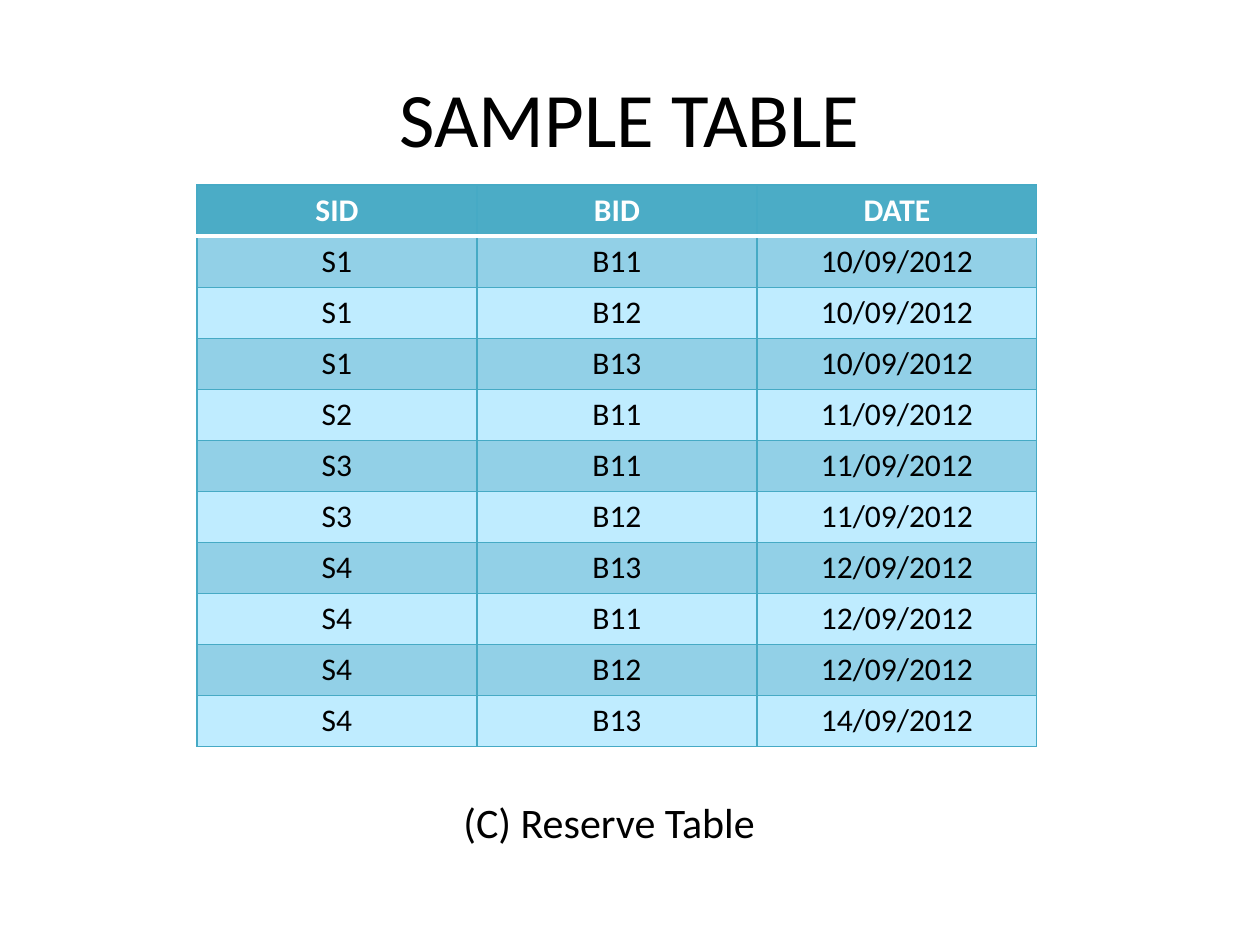
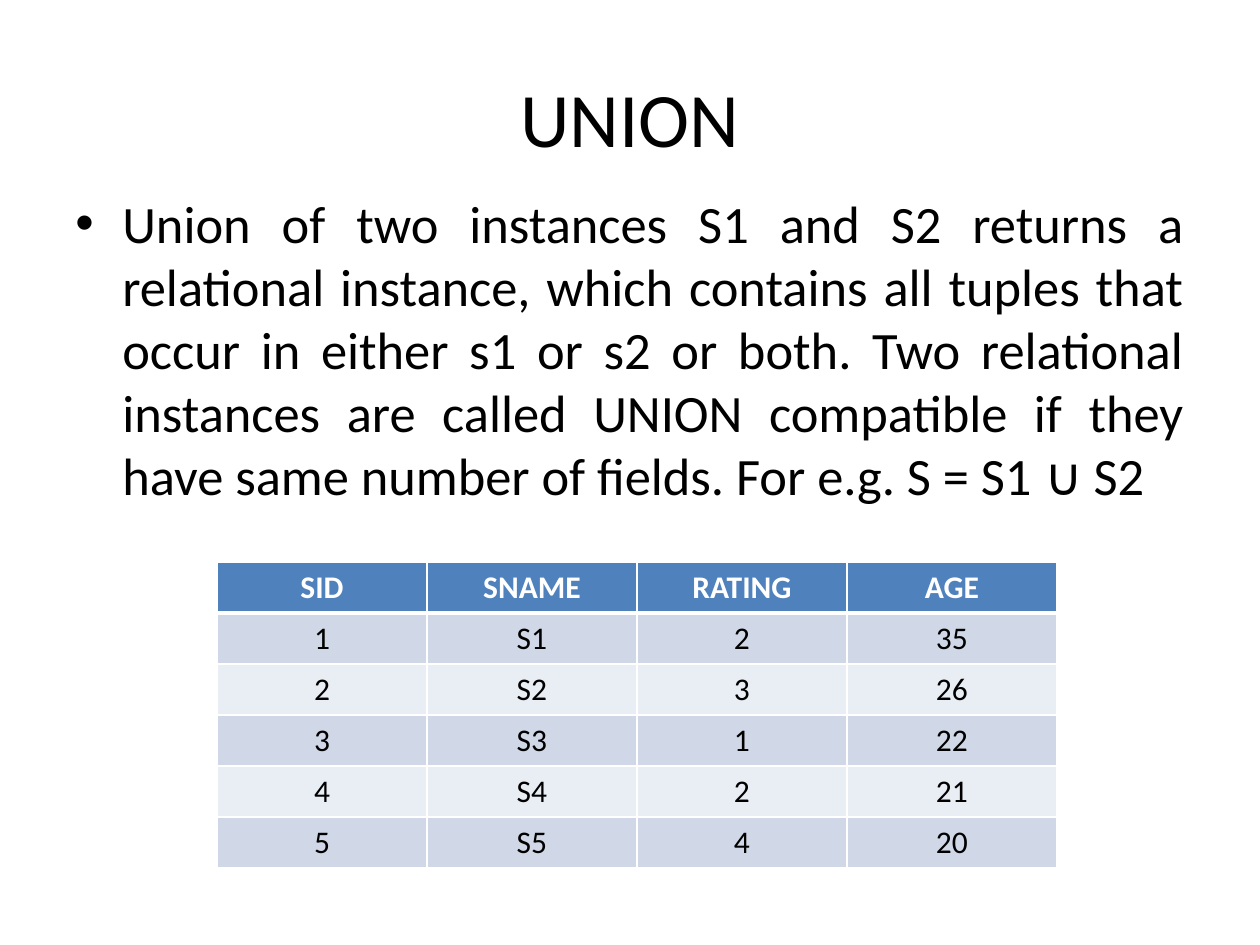
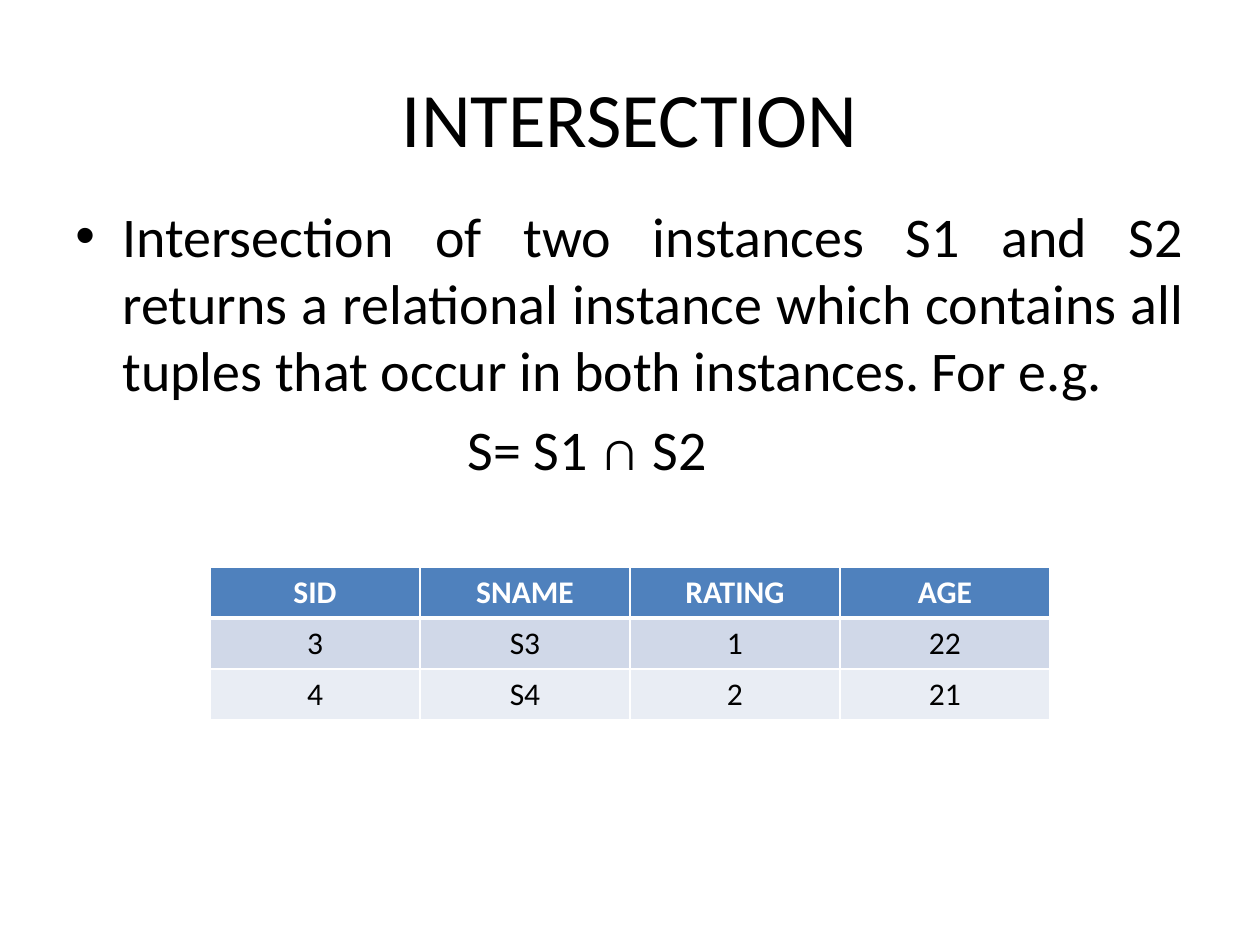
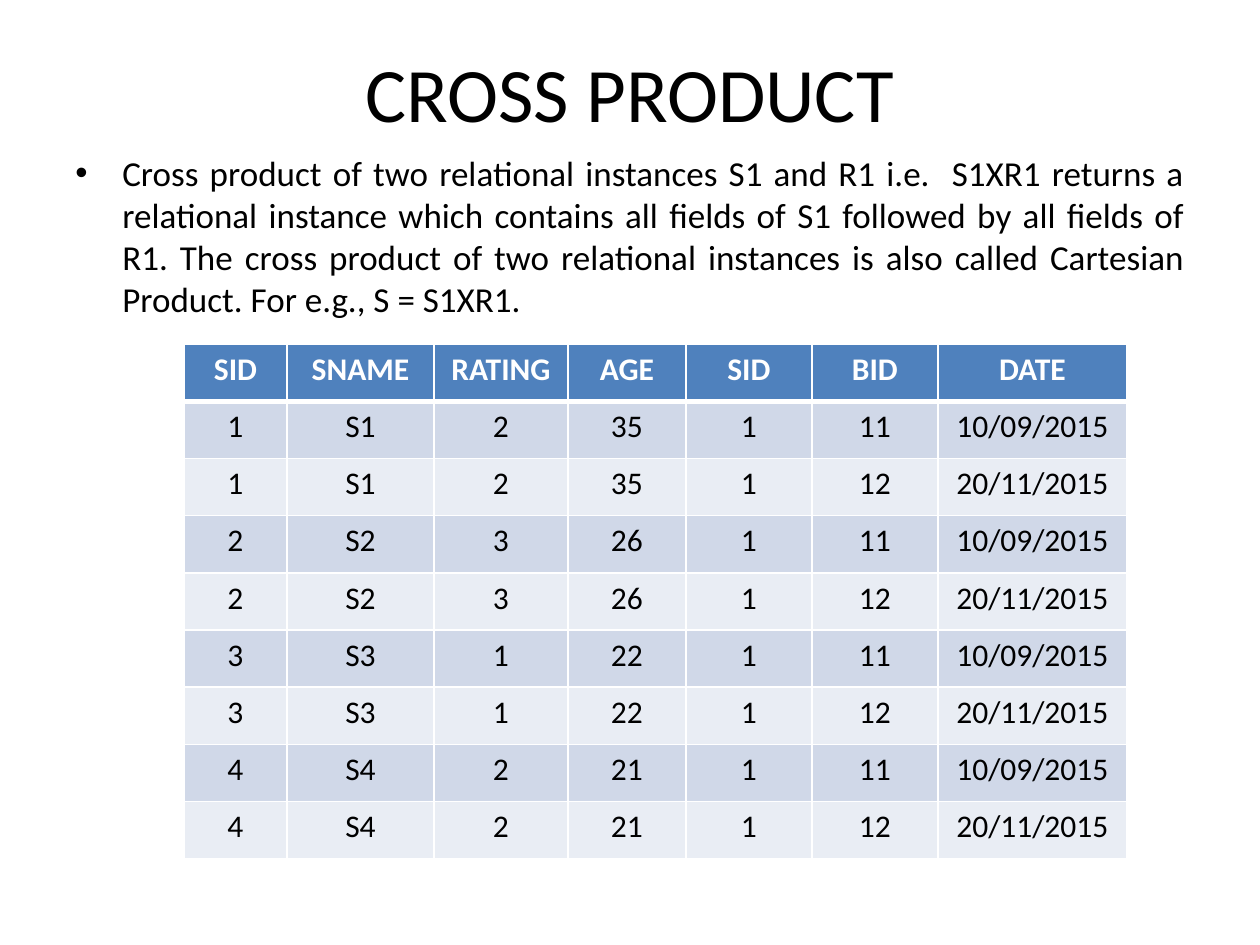
from dataclasses import dataclass
from itertools import product

from lxml.etree import SubElement
from pptx import Presentation
from pptx.dml.color import RGBColor as RGB
from pptx.enum.text import MSO_ANCHOR as Anchor, PP_ALIGN as Align
from pptx.oxml import parse_xml
from pptx.oxml.ns import nsdecls, qn
from pptx.util import Emu, Pt


@dataclass(frozen=True)
class TableLook:
    header: str
    bands: tuple
    border: str
    border_pt: float
    rule_pt: float  # white line under the header


@dataclass(frozen=True)
class Theme:
    font: str = "Calibri"
    bullet_font: str = "Arial"
    ink: str = "000000"
    white: str = "FFFFFF"
    title_pt: int = 44
    caption_pt: int = 24
    cell_pt: int = 18
    aqua: TableLook = TableLook("4BACC6", ("92D0E7", "BFECFF"), "46AAC5", 0.75, 2)
    blue: TableLook = TableLook("4F81BD", ("D0D8E8", "E9EDF4"), "FFFFFF", 1, 3)


THEME = Theme()
PX = 914400 / 126
PAGE = (1260, 945)
LEFT, WIDTH = 63, 1134
TITLE_TOP, TITLE_HEIGHT = 38, 157
BULLET_INDENT = 47
FORMULA_INDENT = 392

SAILOR_HEADS = ["SID", "SNAME", "RATING", "AGE"]
SAILORS = [
    ["1", "S1", "2", "35"],
    ["2", "S2", "3", "26"],
    ["3", "S3", "1", "22"],
    ["4", "S4", "2", "21"],
    ["5", "S5", "4", "20"],
]
BOOKINGS = [["1", "11", "10/09/2015"], ["1", "12", "20/11/2015"]]
RESERVES = [
    ["S1", "B11", "10/09/2012"],
    ["S1", "B12", "10/09/2012"],
    ["S1", "B13", "10/09/2012"],
    ["S2", "B11", "11/09/2012"],
    ["S3", "B11", "11/09/2012"],
    ["S3", "B12", "11/09/2012"],
    ["S4", "B13", "12/09/2012"],
    ["S4", "B11", "12/09/2012"],
    ["S4", "B12", "12/09/2012"],
    ["S4", "B13", "14/09/2012"],
]

# Body boxes are (top, height, type size); tables are (left, top, column widths, height).
SLIDES = [
    {
        "title": "SAMPLE TABLE",
        "table": (197, 185, [280] * 3, 562),
        "look": THEME.aqua,
        "rows": [["SID", "BID", "DATE"], *RESERVES],
        "caption": "(C) Reserve Table",
    },
    {
        "title": "UNION",
        "body": (185, 659, 30),
        "bullet": "Union of two instances S1 and S2 returns a relational instance, "
                  "which contains all tuples that occur in either s1 or s2 or both. "
                  "Two relational instances are called UNION compatible if they have "
                  "same number of fields. For e.g. S = S1 ∪ S2",
        "table": (217, 562, [210] * 4, 306),
        "rows": [SAILOR_HEADS, *SAILORS],
    },
    {
        "title": "INTERSECTION",
        "body": (195, 649, 32),
        "bullet": "Intersection of two instances S1 and S2 returns a relational "
                  "instance which contains all tuples that occur in both instances. "
                  "For e.g.",
        "formula": "S= S1 ∩ S2",
        "table": (210, 567, [210] * 4, 153),
        "rows": [SAILOR_HEADS, *SAILORS[2:4]],
    },
    {
        "title": "CROSS PRODUCT",
        "title_height": 107,
        "body": (145, 189, 20),
        "bullet": "Cross product of two relational instances S1 and R1 i.e.  S1XR1 "
                  "returns a relational instance which contains all fields of S1 "
                  "followed by all fields of R1. The cross product of two relational "
                  "instances is also called Cartesian Product. For e.g., S = S1XR1.",
        "table": (184, 344, [103, 147, 134, 118, 126, 126, 189], 515),
        "rows": [SAILOR_HEADS + ["SID", "BID", "DATE"],
                 *(sailor + booking for sailor, booking in product(SAILORS[:4], BOOKINGS))],
    },
]


def px(*lengths):
    return [Emu(round(length * PX)) for length in lengths]


def write(paragraph, text, size, color=THEME.ink, bold=False, **layout):
    paragraph.text = text
    for key, value in layout.items():
        setattr(paragraph, key, value)
    font = paragraph.font
    for key, value in {"name": THEME.font, "size": Pt(size), "bold": bold}.items():
        setattr(font, key, value)
    font.color.rgb = RGB.from_string(color)


def add_box(slide, left, top, width, height, anchor=Anchor.TOP):
    frame = slide.shapes.add_textbox(*px(left, top, width, height)).text_frame
    frame.word_wrap = True
    frame.vertical_anchor = anchor
    return frame


def indent(paragraph, margin, first_line=0):
    properties = paragraph._p.get_or_add_pPr()
    for key, length in {"marL": margin, "indent": first_line}.items():
        properties.set(key, str(px(length)[0]))
    return properties


def add_body(slide, top, height, size, bullet, formula=None):
    frame = add_box(slide, LEFT, top, WIDTH, height)
    statement = frame.paragraphs[0]
    properties = indent(statement, BULLET_INDENT, -BULLET_INDENT)
    SubElement(properties, qn("a:buFont"), typeface=THEME.bullet_font)
    SubElement(properties, qn("a:buChar"), char="•")
    write(statement, bullet, size, alignment=Align.JUSTIFY)
    if formula:
        example = frame.add_paragraph()
        indent(example, FORMULA_INDENT)
        write(example, formula, size, space_before=Pt(size * 0.2))


def set_borders(cell, row, look):
    plain, rule = (look.border, look.border_pt), (THEME.white, look.rule_pt)
    sides = {"L": plain, "R": plain,
             "T": rule if row == 1 else plain,
             "B": rule if row == 0 else plain}
    properties = cell._tc.get_or_add_tcPr()
    for position, (side, (color, width)) in enumerate(sides.items()):
        properties.insert(position, parse_xml(
            f'<a:ln{side} {nsdecls("a")} w="{Pt(width)}"><a:solidFill>'
            f'<a:srgbClr val="{color}"/></a:solidFill></a:ln{side}>'))


def add_grid(slide, left, top, widths, height, rows, look):
    grid = slide.shapes.add_table(
        len(rows), len(widths), *px(left, top, sum(widths), height)).table
    grid.horz_banding = False
    for column, width in zip(grid.columns, px(*widths)):
        column.width = width
    for row, values in enumerate(rows):
        is_header = row == 0
        fill = look.header if is_header else look.bands[(row - 1) % 2]
        ink = THEME.white if is_header else THEME.ink
        for column, value in enumerate(values):
            cell = grid.cell(row, column)
            cell.fill.solid()
            cell.fill.fore_color.rgb = RGB.from_string(fill)
            set_borders(cell, row, look)
            write(cell.text_frame.paragraphs[0], value, THEME.cell_pt, ink,
                  is_header, alignment=Align.CENTER)


def build_slide(deck, content):
    slide = deck.slides.add_slide(deck.slide_layouts[6])
    title = add_box(slide, LEFT, TITLE_TOP, WIDTH,
                    content.get("title_height", TITLE_HEIGHT), Anchor.MIDDLE)
    write(title.paragraphs[0], content["title"], THEME.title_pt, alignment=Align.CENTER)
    if "body" in content:
        add_body(slide, *content["body"], content["bullet"], content.get("formula"))
    add_grid(slide, *content["table"], content["rows"], content.get("look", THEME.blue))
    if "caption" in content:
        caption = add_box(slide, 451, 790, 417, 63)
        write(caption.paragraphs[0], content["caption"], THEME.caption_pt)


def main():
    deck = Presentation()
    deck.slide_width, deck.slide_height = px(*PAGE)
    for content in SLIDES:
        build_slide(deck, content)
    deck.save("out.pptx")


if __name__ == "__main__":
    main()
